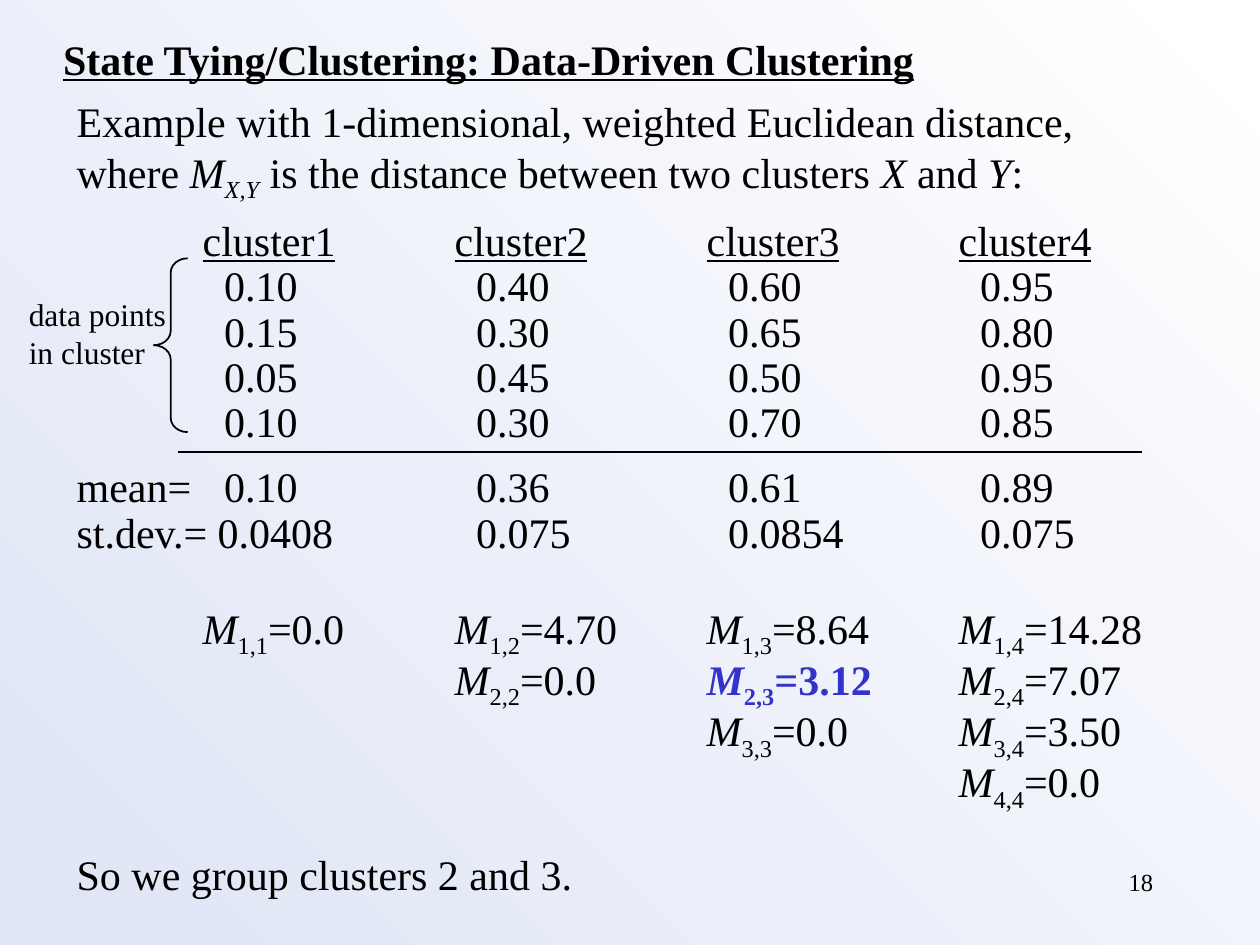
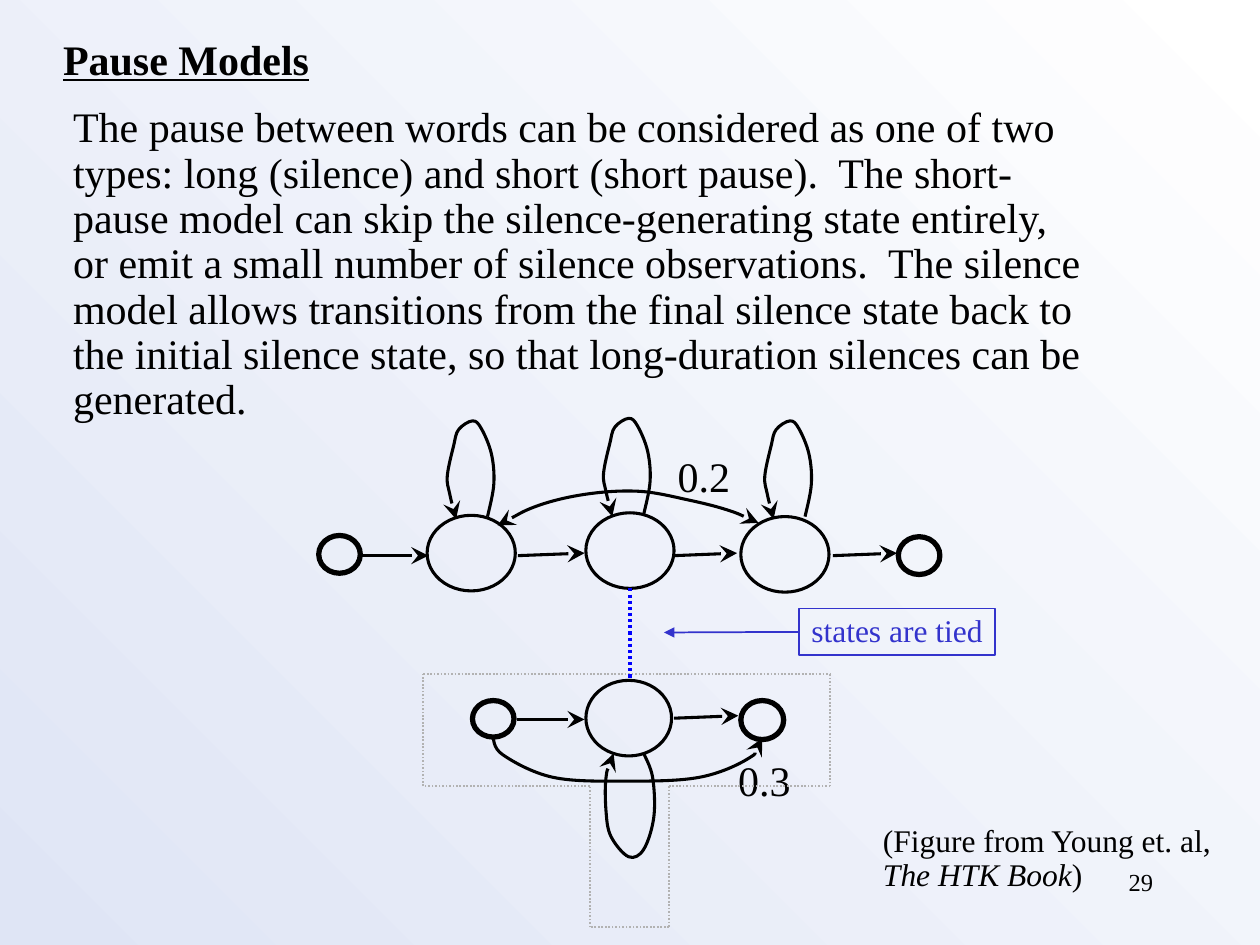
import pptx
import pptx.util
import pptx.dml.color
import pptx.enum.dml
import pptx.enum.shapes
import pptx.enum.text
import pptx.oxml.ns
from dataclasses import dataclass
from lxml import etree

Inches, Pt = pptx.util.Inches, pptx.util.Pt
SHAPES = pptx.enum.shapes.MSO_SHAPE
ALIGN = pptx.enum.text.PP_ALIGN
qn = pptx.oxml.ns.qn


@dataclass(frozen=True)
class Theme:
    font: str = "Times New Roman"
    ink: str = "000000"
    accent: str = "3333CC"
    tie: str = "0000FF"
    outline: str = "B2B2B2"
    light: str = "FFFFFF"
    tint: str = "DFE5F5"
    text: int = 24
    label: int = 18
    number: int = 14
    leading: float = 1.08
    thin: float = 1
    medium: float = 1.75
    thick: float = 3


THEME = Theme()
TITLE_AND_BODY, TITLE_ONLY = 1, 5

CLUSTERS = {
    "cluster1": ("0.10", "0.15", "0.05", "0.10"),
    "cluster2": ("0.40", "0.30", "0.45", "0.30"),
    "cluster3": ("0.60", "0.65", "0.50", "0.70"),
    "cluster4": ("0.95", "0.80", "0.95", "0.85"),
}
MEANS = ("0.10", "0.36", "0.61", "0.89")
DEVIATIONS = ("0.0408", "0.075", "0.0854", "0.075")
DISTANCES = (
    ("0.0", "4.70", "8.64", "14.28"),
    ("0.0", "3.12", "7.07"),
    ("0.0", "3.50"),
    ("0.0",),
)
CLOSEST = (2, 3)
INTRO = [("Example with 1-dimensional, weighted Euclidean distance,", "")]
DEFINITION = [("where ", ""), ("M", "i"), ("X,Y", "is"),
              (" is the distance between two clusters ", ""), ("X", "i"),
              (" and ", ""), ("Y", "i"), (":", "")]
CONCLUSION = [("So we group clusters 2 and 3.", "")]
COLUMN_STOPS = (1, 3, 5, 7)
VALUE_STOPS = tuple(stop + 0.17 for stop in COLUMN_STOPS)

PAUSE_LINES = (
    "The pause between words can be considered as one of two",
    "types: long (silence) and short (short pause).  The short-",
    "pause model can skip the silence-generating state entirely,",
    "or emit a small number of silence observations.  The silence",
    "model allows transitions from the final silence state back to",
    "the initial silence state, so that long-duration silences can be",
    "generated.",
)
CITATION = [[("(Figure from Young et. al,", "")],
            [("The HTK Book", "i"), (")", "")]]
PROBABILITIES = (("0.2", 5.28, 3.57), ("0.3", 5.76, 5.98))

EMITTING_STATES = ((3.39, 4.09, 0.7, 0.6), (4.65, 4.07, 0.7, 0.6),
                   (5.88, 4.1, 0.7, 0.6), (4.65, 5.4, 0.68, 0.6))
END_STATES = ((2.53, 4.25, 0.33, 0.3), (7.13, 4.26, 0.33, 0.3),
              (3.75, 5.56, 0.33, 0.29), (5.88, 5.56, 0.34, 0.31))
TRANSITIONS = (
    (2.85, 4.41, 3.4, 4.41), (4.11, 4.41, 4.64, 4.39),
    (5.35, 4.41, 5.85, 4.39), (6.61, 4.41, 7.12, 4.39),
    (5.35, 5.7, 5.86, 5.68), (4.1, 5.71, 4.64, 5.71),
)
SELF_LOOP = ((0.32, 0.76), (0.37, 0.5), (0.35, 0.26), (0.27, 0.06), (0.2, 0),
             (0.09, 0.07), (0.05, 0.2), (0, 0.44), (0.02, 0.58), (0.07, 0.78))
LOOP_CORNERS = ((3.55, 3.34), (4.79, 3.32), (6.07, 3.34))
SHORT_PAUSE_LOOP = ((5.11, 5.98), (5.18, 6.17), (5.19, 6.48), (5.11, 6.74),
                    (4.99, 6.8), (4.85, 6.64), (4.81, 6.44), (4.81, 6.17),
                    (4.87, 5.98))
BACK_ARC = ((3.95, 4.17), (4.28, 4.01), (4.67, 3.92), (5.08, 3.9),
            (5.47, 3.97), (5.78, 4.05), (6.02, 4.15))
SKIP_ARC = ((3.91, 5.84), (3.99, 5.99), (4.39, 6.17), (4.97, 6.2),
            (5.55, 6.17), (5.94, 6.02), (6.05, 5.86))
MODEL_CORNERS = ((3.36, 5.35), (6.59, 5.35), (6.59, 6.24), (5.31, 6.24),
                 (5.31, 7.36), (4.68, 7.36), (4.68, 6.24), (3.36, 6.24))


def rgb(color):
    return pptx.dml.color.RGBColor.from_string(color)


def add_spans(para, spans, size, color):
    for text, style in spans:
        span = para.add_run()
        span.text = text
        font = span.font
        font.name, font.size = THEME.font, Pt(size)
        font.bold, font.italic = "b" in style, "i" in style
        font.underline = "u" in style
        font.color.rgb = rgb(THEME.accent if "a" in style else color)
        if "s" in style:
            span._r.get_or_add_rPr().set("baseline", "-25000")


def write(box, lines, size=THEME.text, color=THEME.ink, align=ALIGN.LEFT,
          leading=THEME.leading, wrap=True):
    frame = box.text_frame
    frame.word_wrap = wrap
    frame.auto_size = pptx.enum.text.MSO_AUTO_SIZE.NONE
    frame.vertical_anchor = pptx.enum.text.MSO_ANCHOR.TOP
    for index, line in enumerate(lines):
        spans, gap, stops = line if isinstance(line, tuple) else (line, 0, ())
        para = frame.add_paragraph() if index else frame.paragraphs[0]
        properties = para._p.get_or_add_pPr()
        if box.is_placeholder:
            properties.set("marL", "0")
            properties.set("indent", "0")
            etree.SubElement(properties, qn("a:buNone"))
        if stops:
            tabs = etree.SubElement(properties, qn("a:tabLst"))
            for stop in stops:
                etree.SubElement(tabs, qn("a:tab"), pos=str(Inches(stop)), algn="l")
        para.alignment = align
        para.line_spacing = Pt(size * leading)
        para.space_before = Pt(gap)
        add_spans(para, spans, size, color)


def place(box, left, top, width, height):
    box.left, box.top = Inches(left), Inches(top)
    box.width, box.height = Inches(width), Inches(height)
    return box


def add_text(page, left, top, width, height, lines, **style):
    box = page.shapes.add_textbox(*map(Inches, (left, top, width, height)))
    write(box, lines, **style)


def style_line(shape, color, width, dash=False, head=None, tail=None):
    shape.line.color.rgb = rgb(color)
    shape.line.width = Pt(width)
    if dash:
        shape.line.dash_style = pptx.enum.dml.MSO_LINE.ROUND_DOT
    for end, arrow in (("a:headEnd", head), ("a:tailEnd", tail)):
        if arrow:
            scale = "lg" if arrow == "stealth" else "med"
            etree.SubElement(shape.line._get_or_add_ln(), qn(end),
                             type=arrow, w=scale, len=scale)


def add_line(page, ends, color=THEME.ink, width=THEME.medium, **style):
    line = page.shapes.add_connector(
        pptx.enum.shapes.MSO_CONNECTOR.STRAIGHT, *map(Inches, ends))
    style_line(line, color, width, **style)
    etree.SubElement(line._element.spPr, qn("a:effectLst"))
    return line


def style_outline(shape, color, width, **style):
    shape.shadow.inherit = False
    shape.fill.background()
    style_line(shape, color, width, **style)
    return shape


def add_outline(page, kind, area, color=THEME.ink, width=THEME.medium):
    shape = page.shapes.add_shape(kind, *map(Inches, area))
    return style_outline(shape, color, width)


def add_curve(page, knots, **style):
    knots = [(Inches(x), Inches(y)) for x, y in knots]
    builder = page.shapes.build_freeform(*knots[0])
    builder.add_line_segments(knots[1:], close=False)
    shape = builder.convert_to_shape()
    padded = (knots[0], *knots, knots[-1])
    segments = shape._element.spPr.findall(".//" + qn("a:lnTo"))
    for segment, a, b, c, d in zip(segments, padded, padded[1:], padded[2:],
                                   padded[3:]):
        segment.tag = qn("a:cubicBezTo")
        leaving = [q + (r - p) / 6 for p, q, r in zip(a, b, c)]
        arriving = [r - (s - q) / 6 for q, r, s in zip(b, c, d)]
        for index, (x, y) in enumerate((leaving, arriving)):
            point = etree.Element(qn("a:pt"), x=str(round(x - shape.left)),
                                  y=str(round(y - shape.top)))
            segment.insert(index, point)
    style_outline(shape, THEME.ink, THEME.medium, tail="stealth", **style)


def start_page(deck, layout, title, number):
    page = deck.slides.add_slide(deck.slide_layouts[layout])
    write(place(page.shapes.title, 0.4, 0.21, 9, 0.5), [[(title, "bu")]],
          leading=1.22)
    add_text(page, 7.17, 6.83, 2.08, 0.5, [[(number, "")]],
             size=THEME.number, align=ALIGN.RIGHT, leading=1.2)
    return page


def tabbed(values, style=""):
    return [span for value in values for span in (("\t", ""), (value, style))]


def distance_spans(row):
    spans = [("\t" * row, "")] if row else []
    for offset, value in enumerate(DISTANCES[row]):
        pair = (row + 1, row + 1 + offset)
        mark = "ab" if pair == CLOSEST else ""
        spans += [("\t", ""), ("M", "i" + mark),
                  (f"{pair[0]},{pair[1]}", "s" + mark), (f"={value}", mark)]
    return spans


def build_clustering(deck):
    page = start_page(deck, TITLE_ONLY,
                      "State Tying/Clustering: Data-Driven Clustering", "18")
    lines = [INTRO, (DEFINITION, 7, ()),
             (tabbed(CLUSTERS, "u"), 9.2, COLUMN_STOPS)]
    lines += [(tabbed(row), 0, VALUE_STOPS) for row in zip(*CLUSTERS.values())]
    lines.append(([("mean=", "")] + tabbed(MEANS), 11.2, VALUE_STOPS))
    lines.append(([("st.dev.= " + DEVIATIONS[0], "")] + tabbed(DEVIATIONS[1:]),
                  0, VALUE_STOPS[1:]))
    lines += [(distance_spans(row), 3.4 if row else 32.8, COLUMN_STOPS)
              for row in range(len(DISTANCES))]
    lines.append((CONCLUSION, 22.9, ()))
    add_text(page, 0.51, 0.75, 8.75, 6.44, lines)
    add_line(page, (1.41, 3.59, 9.06, 3.59), width=THEME.thin)
    brace = add_outline(page, SHAPES.LEFT_BRACE, (1.22, 2.05, 0.27, 1.38),
                        width=THEME.thin)
    brace.adjustments[0] = 0.42
    add_text(page, 0.13, 2.29, 1.35, 0.7,
             [[("data points", "")], [("in cluster", "")]],
             size=THEME.label, leading=1.2)


def build_pause_models(deck):
    page = start_page(deck, TITLE_AND_BODY, "Pause Models", "29")
    write(place(page.placeholders[1], 0.48, 0.79, 8.3, 2.62),
          [[(line, "")] for line in PAUSE_LINES])
    add_text(page, 6.91, 6.5, 2.84, 0.64, CITATION, size=THEME.label)
    for value, left, top in PROBABILITIES:
        add_text(page, left, top, 0.65, 0.46, [[(value, "")]])
    for start, end in zip(MODEL_CORNERS, MODEL_CORNERS[1:] + MODEL_CORNERS[:1]):
        add_line(page, start + end, THEME.outline, THEME.thin, dash=True)
    for states, width in ((EMITTING_STATES, THEME.medium),
                          (END_STATES, THEME.thick)):
        for area in states:
            add_outline(page, SHAPES.OVAL, area, width=width)
    for ends in TRANSITIONS:
        add_line(page, ends, tail="stealth")
    for left, top in LOOP_CORNERS:
        add_curve(page, [(left + x, top + y) for x, y in SELF_LOOP])
    for knots in (SHORT_PAUSE_LOOP, SKIP_ARC):
        add_curve(page, knots)
    add_curve(page, BACK_ARC, head="stealth")
    add_line(page, (5, 4.67, 5, 5.4), THEME.tie, dash=True)
    note = add_outline(page, SHAPES.RECTANGLE, (6.34, 4.83, 1.56, 0.37),
                       THEME.accent, THEME.thin)
    write(note, [[("states are tied", "")]], THEME.label, THEME.accent,
          ALIGN.CENTER, wrap=False)
    pointer = add_line(page, (6.34, 5.02, 5.27, 5.02), THEME.accent, THEME.thin,
                       tail="triangle")
    pointer.begin_connect(note, 1)


def main():
    deck = pptx.Presentation()
    deck.slide_width, deck.slide_height = Inches(10), Inches(7.5)
    backdrop = deck.slide_master.background.fill
    backdrop.gradient()
    backdrop.gradient_angle = 225
    for stop, color in zip(backdrop.gradient_stops, (THEME.light, THEME.tint)):
        stop.color.rgb = rgb(color)
    build_clustering(deck)
    build_pause_models(deck)
    deck.save("out.pptx")


if __name__ == "__main__":
    main()
